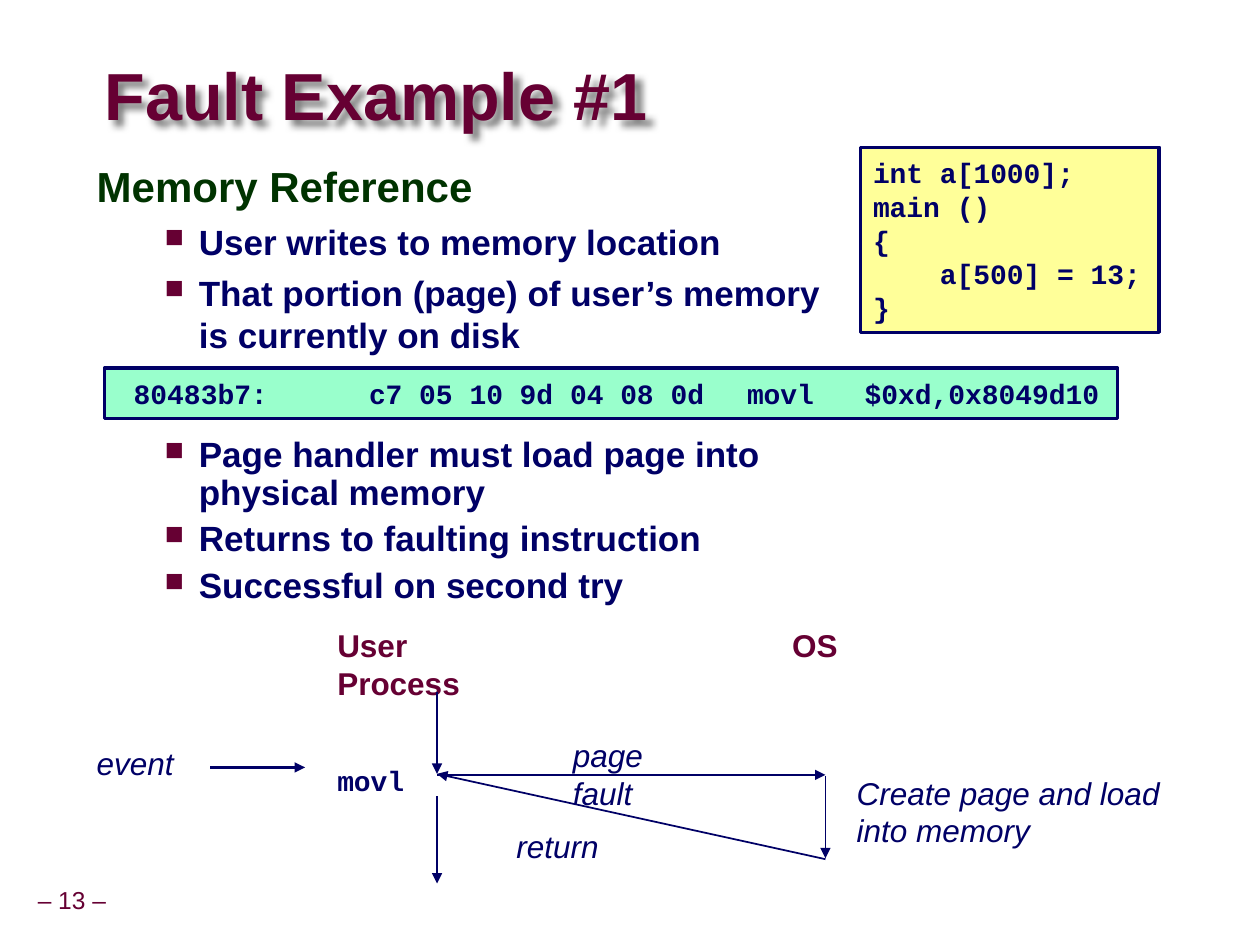
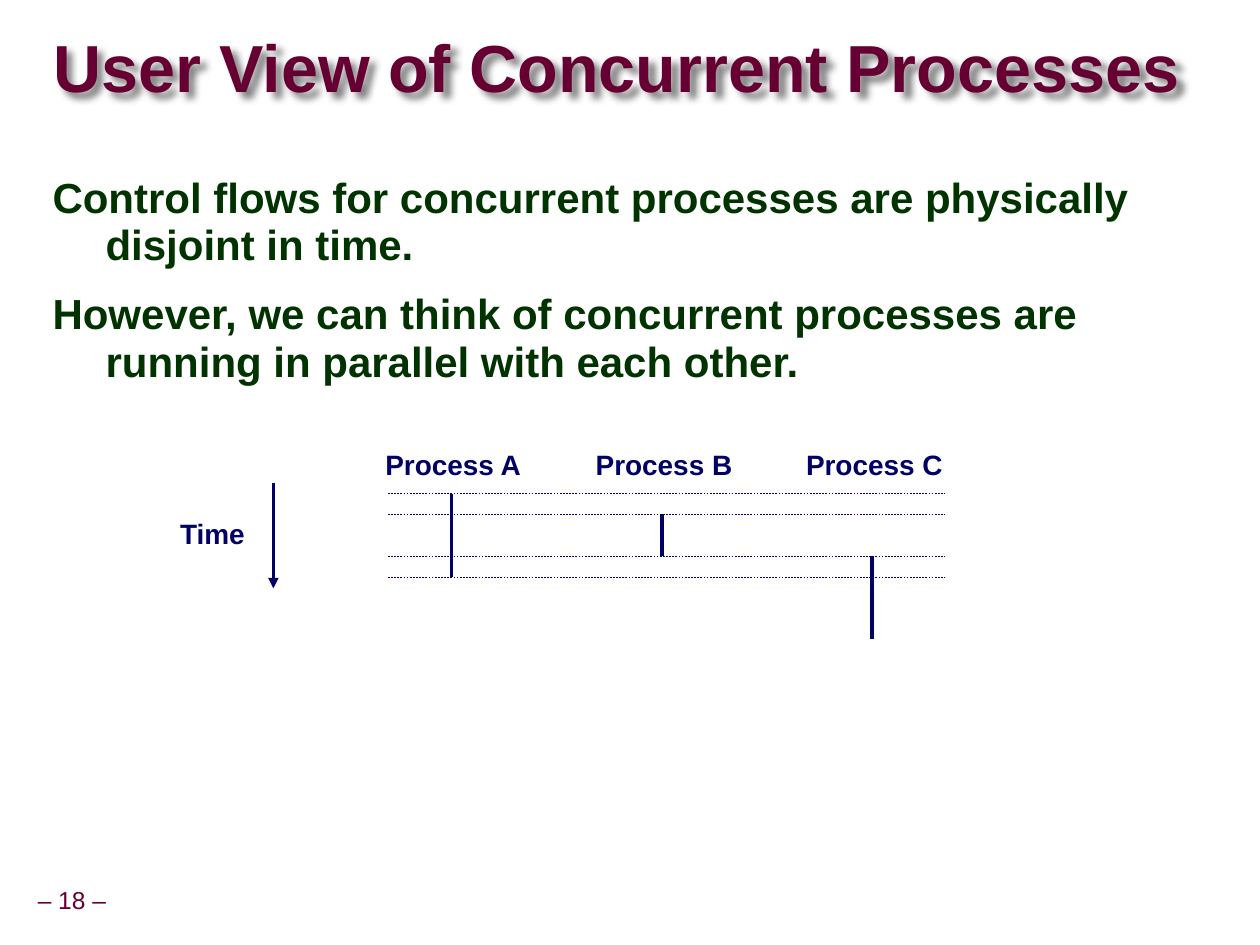
"""Build two lecture slides on page faults and concurrent processes."""
from lxml.etree import SubElement
from pptx import Presentation
from pptx.dml.color import RGBColor as Rgb
from pptx.enum.dml import MSO_LINE as Dash
from pptx.enum.shapes import MSO_CONNECTOR as Link, MSO_SHAPE as Form
from pptx.enum.text import MSO_ANCHOR as Anchor, PP_ALIGN as Align
from pptx.oxml import parse_xml
from pptx.oxml.ns import nsdecls, qn
from pptx.util import Cm, Pt

HUES = {"wine": "660033", "navy": "000066", "green": "003300",
        "yellow": "FFFF99", "mint": "99FFCC"}
SANS, MONO = "Arial", "Courier New"
LEFT = Align.LEFT

LOOKS = {
    "title": ("wine", dict(name=SANS, size=Pt(38), bold=True),
              dict(line_spacing=0.87, alignment=LEFT)),
    "page": ("wine", dict(name=SANS, size=Pt(14)),
             dict(line_spacing=0.9, alignment=Align.CENTER)),
    "head": ("green", dict(name=SANS, size=Pt(24), bold=True),
             dict(line_spacing=0.95, space_before=Pt(12))),
    "point": ("navy", dict(name=SANS, size=Pt(20), bold=True),
              dict(space_before=Pt(5))),
    "tight": ("navy", dict(name=SANS, size=Pt(20), bold=True),
              dict(line_spacing=0.9, space_before=Pt(5))),
    "role": ("wine", dict(name=SANS, size=Pt(18), bold=True), {}),
    "note": ("navy", dict(name=SANS, size=Pt(18), italic=True), {}),
    "name": ("navy", dict(name=SANS, size=Pt(16), bold=True), {}),
    "code": ("navy", dict(name=MONO, size=Pt(16), bold=True),
             dict(alignment=LEFT)),
    "inner": ("navy", dict(name=MONO, size=Pt(16), bold=True),
              dict(alignment=LEFT)),
}
DENTS = {"head": (1.07, -1.07), "point": (2.06, -0.69),
         "tight": (2.06, -0.69), "inner": (1.35, 0)}


def write(shape, *paras):
    frame = shape.text_frame
    frame.word_wrap = True
    for rank, (look, text) in enumerate(paras):
        para = frame.add_paragraph() if rank else frame.paragraphs[0]
        hue, fonts, flow = LOOKS[look]
        for key, value in flow.items():
            if rank or key != "space_before":
                setattr(para, key, value)
        run = para.add_run()
        run.text = text
        for key, value in fonts.items():
            setattr(run.font, key, value)
        run.font.color.rgb = Rgb.from_string(HUES[hue])
        props = para._p.get_or_add_pPr()
        if look in DENTS:
            for key, size in zip(("marL", "indent"), DENTS[look]):
                props.set(key, str(Cm(size)))
        if look in ("point", "tight"):
            tint = SubElement(props, qn("a:buClr"))
            SubElement(tint, qn("a:srgbClr"), val=HUES["wine"])
            SubElement(props, qn("a:buSzPct"), val="75000")
            SubElement(props, qn("a:buChar"), char="■")
    return frame


def draw(slide, ends, width, arrow=False, dash=None):
    link = slide.shapes.add_connector(Link.STRAIGHT, *map(Cm, ends))
    link.line.color.rgb = Rgb.from_string(HUES["navy"])
    link.line.width = Pt(width)
    if dash:
        link.line.dash_style = dash
    if arrow:
        SubElement(link.line._get_or_add_ln(), qn("a:tailEnd"), type="triangle")
    SubElement(link._element.spPr, qn("a:effectLst"))


deck = Presentation()
deck.slide_width, deck.slide_height = Cm(25.4), Cm(19.05)
slides = []
for title, number, box in [
    ("Fault Example #1", 13, (2.11, 1.24, 15.95, 1.55)),
    ("User View of Concurrent Processes", 18, (1.07, 0.64, 23.5, 1.6)),
]:
    slide = deck.slides.add_slide(deck.slide_layouts[5])
    slides.append(slide)
    head = slide.shapes.title
    head.left, head.top, head.width, head.height = map(Cm, box)
    page = slide.shapes.add_textbox(*map(Cm, (0.61, 17.78, 1.68, 0.79)))
    for shape, look, text, pad in [(head, "title", title, 0),
                                   (page, "page", f"– {number} –", 0.1)]:
        frame = write(shape, (look, text))
        frame.vertical_anchor = Anchor.MIDDLE
        for side in ("left", "top", "right", "bottom"):
            setattr(frame, f"margin_{side}", Cm(pad))
    head._element.spPr.append(parse_xml(
        f'<a:effectLst {nsdecls("a")}><a:outerShdw blurRad="50800" dist="53900" '
        'dir="2700000" algn="ctr" rotWithShape="0"><a:srgbClr val="000000">'
        '<a:alpha val="50000"/></a:srgbClr></a:outerShdw></a:effectLst>'))
fault, view = slides

for slide, box, paras in [
    (fault, (1.7, 3.18, 15.24, 4.8), [
        ("head", "Memory Reference"),
        ("point", "User writes to memory location"),
        ("point", "That portion (page) of user’s memory is currently on disk")]),
    (fault, (1.7, 8.69, 15.11, 3.7), [
        ("tight", "Page handler must load page into physical memory"),
        ("tight", "Returns to faulting instruction"),
        ("tight", "Successful on second try")]),
    (fault, (6.55, 12.5, 3.3, 1.8), [("role", "User Process")]),
    (fault, (15.72, 12.5, 2, 1.02), [("role", "OS")]),
    (fault, (11.3, 14.71, 2.3, 1.8), [("note", "page fault")]),
    (fault, (17.02, 15.47, 7.01, 1.78), [("note", "Create page and load into memory")]),
    (fault, (10.16, 16.54, 2.6, 1.02), [("note", "return")]),
    (fault, (1.7, 14.88, 2.6, 1.02), [("note", "event")]),
    (fault, (6.55, 15.27, 2.2, 0.94), [("code", "movl")]),
    (view, (0.81, 3.4, 23.09, 14.5), [
        ("head", "Control flows for concurrent processes are physically "
                 "disjoint in time."),
        ("head", "However, we can think of concurrent processes are running "
                 "in parallel with each other.")]),
    (view, (3.38, 10.29, 2.2, 0.94), [("name", "Time")]),
]:
    write(slide.shapes.add_textbox(*map(Cm, box)), *paras)

for hue, box, paras in [
    ("yellow", (17.35, 2.97, 6.02, 3.73), [
        ("code", "int a[1000];"), ("code", "main ()"), ("code", "{"),
        ("inner", "a[500] = 13;"), ("code", "}")]),
    ("mint", (2.11, 7.42, 20.42, 1.02), [
        ("code", " 80483b7:\tc7 05 10 9d 04 08 0d\tmovl\t$0xd,0x8049d10")]),
]:
    panel = fault.shapes.add_shape(Form.RECTANGLE, *map(Cm, box))
    panel.shadow.inherit = False
    panel.fill.solid()
    panel.fill.fore_color.rgb = Rgb.from_string(HUES[hue])
    panel.line.color.rgb = Rgb.from_string(HUES["navy"])
    panel.line.width = Pt(2)
    frame = write(panel, *paras)
    frame.vertical_anchor = Anchor.MIDDLE
stops = SubElement(frame.paragraphs[0]._p.get_or_add_pPr(), qn("a:tabLst"))
for stop in (5.08, 12.7, 15.07):
    SubElement(stops, qn("a:tab"), pos=str(Cm(stop)), algn="l")

user, kernel = 8.81, 16.64
for ends, width in [
    ((user, 13.94, user, 15.6), 1),
    ((user, 15.62, kernel, 15.62), 1),
    ((kernel, 15.65, kernel, 17.3), 1),
    ((kernel, 17.32, user, 15.6), 1),
    ((user, 16.05, user, 17.81), 1),
    ((4.24, 15.47, 6.15, 15.47), 2),
]:
    draw(fault, ends, width, arrow=True)

start, step, gap = 9.95, 0.42, 4.24
draw(view, (5.51, 9.73, 5.51, 11.86), 2, arrow=True)
for rank, (name, spans) in enumerate([("A", [(0, 2), (2, 4)]), ("B", [(1, 3)]),
                                      ("C", [(3, 5), (5, 7)])]):
    box = (7.52 + rank * gap, 8.89, 3.6, 0.94)
    write(view.shapes.add_textbox(*map(Cm, box)), ("name", f"Process {name}"))
    left = 9.1 + rank * gap
    for first, last in spans:
        draw(view, (left, start + first * step, left, start + last * step), 2)
for row in (0, 1, 3, 4):
    top = start + row * step
    draw(view, (7.82, top, 19.05, top), 0.25, dash=Dash.DASH)

deck.save("out.pptx")
